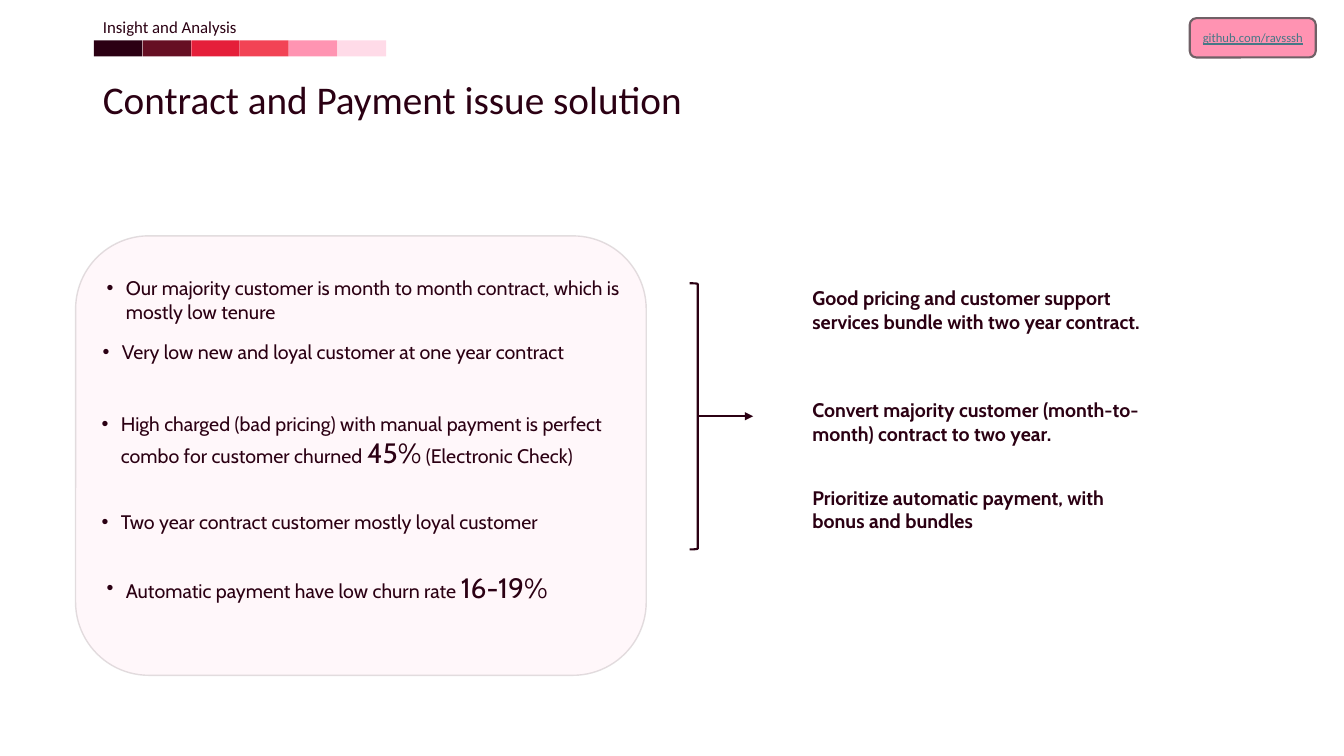
from lxml.etree import SubElement
from pptx import Presentation
from pptx.dml.color import RGBColor
from pptx.enum.shapes import MSO_CONNECTOR, MSO_SHAPE
from pptx.enum.text import MSO_ANCHOR, MSO_AUTO_SIZE, PP_ALIGN
from pptx.oxml.ns import qn
from pptx.util import Inches, Pt

COLORS = {
    "ink": "2B0013",
    "wine": "660F23",
    "red": "E51F3A",
    "coral": "F24355",
    "pink": "FF94B2",
    "blush": "FFDBE8",
    "badge": "FF93B2",
    "gray": "706066",
    "address": "467886",
}


def add_text(paragraph, text, color="ink", **formats):
    run = paragraph.add_run()
    run.text = text
    for attribute, value in formats.items():
        setattr(run.font, attribute, value)
    run.font.color.rgb = RGBColor.from_string(COLORS[color])


def add_block(kind, place, fill=None, line=None, width=1):
    block = slide.shapes.add_shape(kind, *map(Inches, place))
    block.shadow.inherit = False
    if fill:
        block.fill.solid()
        block.fill.fore_color.rgb = RGBColor.from_string(COLORS[fill])
    else:
        block.fill.background()
    if line:
        block.line.color.rgb = RGBColor.from_string(COLORS[line])
        block.line.width = Pt(width)
    else:
        block.line.fill.background()
    return block


presentation = Presentation()
presentation.slide_width = Inches(13.33)
presentation.slide_height = Inches(7.5)
slide = presentation.slides.add_slide(presentation.slide_layouts[1])

title, section = slide.placeholders
headings = [
    (title, (0.92, 0.56, 10.7, 0.89), MSO_ANCHOR.MIDDLE, 28, "Contract and Payment issue solution"),
    (section, (0.92, 0.14, 2.42, 0.24), MSO_ANCHOR.TOP, 12, "Insight and Analysis"),
]
for heading, place, anchor, size, text in headings:
    heading.left, heading.top, heading.width, heading.height = map(Inches, place)
    frame_formats = {"auto_size": MSO_AUTO_SIZE.NONE, "vertical_anchor": anchor, "word_wrap": True}
    for attribute, value in frame_formats.items():
        setattr(heading.text_frame, attribute, value)
    paragraph = heading.text_frame.paragraphs[0]
    paragraph_formats = {"alignment": PP_ALIGN.LEFT, "line_spacing": 0.9, "space_before": Pt(0)}
    for attribute, value in paragraph_formats.items():
        setattr(paragraph, attribute, value)
    properties = paragraph._p.get_or_add_pPr()
    properties.set("marL", "0")
    properties.set("indent", "0")
    SubElement(properties, qn("a:buNone"))
    add_text(paragraph, text, size=Pt(size), name="Calibri")

badge = add_block(MSO_SHAPE.ROUNDED_RECTANGLE, (11.8, 0.18, 1.25, 0.39), "badge", "gray", 1.5)
badge.text_frame.vertical_anchor = MSO_ANCHOR.MIDDLE
address = badge.text_frame.paragraphs[0]
address.alignment = PP_ALIGN.CENTER
add_text(address, "github.com/ravsssh", "address", size=Pt(9), name="Calibri", underline=True)

for position, swatch in enumerate(["ink", "wine", "red", "coral", "pink", "blush"]):
    add_block(MSO_SHAPE.RECTANGLE, (0.93 + position * 0.484, 0.4, 0.48, 0.16), swatch)

findings_panel = add_block(MSO_SHAPE.ROUNDED_RECTANGLE, (0.75, 2.34, 5.66, 4.36), "blush", "gray")
for panel_color in findings_panel.element.spPr.iter(qn("a:srgbClr")):
    SubElement(panel_color, qn("a:alpha"), val="20000")

findings = [
    ((0.96, 2.69, 5.31, 0.57),
     [("Our majority customer is month to month contract, which is mostly low tenure", 14)]),
    ((0.92, 3.32, 5.5, 0.34), [("Very low new and loyal customer at one year contract", 14)]),
    ((0.91, 4.04, 5.5, 0.67),
     [("High charged (bad pricing) with manual payment is perfect combo for customer churned ", 14),
      ("45%", 20), (" (Electronic Check)", 14)]),
    ((0.91, 5.01, 5.5, 0.34), [("Two year contract customer mostly loyal customer", 14)]),
    ((0.96, 5.61, 5.5, 0.44), [("Automatic payment have low churn rate ", 14), ("16-19%", 20)]),
]
solutions = [
    ((7.96, 2.79, 3.47, 0.57),
     [("Good pricing and customer support services bundle with two year contract.", 14)]),
    ((7.96, 3.9, 3.6, 0.57),
     [("Convert majority customer (month-to-month) contract to two year.", 14)]),
    ((7.96, 4.77, 3.6, 0.57), [("Prioritize automatic payment, with bonus and bundles", 14)]),
]
for statements, is_solution in [(findings, False), (solutions, True)]:
    for place, parts in statements:
        statement = slide.shapes.add_textbox(*map(Inches, place)).text_frame
        statement.word_wrap = True
        statement.auto_size = MSO_AUTO_SIZE.SHAPE_TO_FIT_TEXT
        paragraph = statement.paragraphs[0]
        if not is_solution:
            properties = paragraph._p.get_or_add_pPr()
            properties.set("marL", str(Inches(0.19)))
            properties.set("indent", str(Inches(-0.19)))
            SubElement(properties, qn("a:buFont"), typeface="Arial")
            SubElement(properties, qn("a:buChar"), char="•")
        for text, size in parts:
            add_text(paragraph, text, size=Pt(size), name="Cabin", bold=is_solution)

bracket = add_block(MSO_SHAPE.LEFT_BRACKET, (6.84, 2.81, 0.08, 2.64), line="ink", width=1.5)
bracket.rotation = 180

arrow = slide.shapes.add_connector(
    MSO_CONNECTOR.STRAIGHT, Inches(6.92), Inches(4.13), Inches(7.47), Inches(4.13))
arrow.line.color.rgb = RGBColor.from_string(COLORS["ink"])
arrow.line.width = Pt(1.5)
SubElement(arrow.element.spPr.find(qn("a:ln")), qn("a:tailEnd"), type="triangle")
SubElement(arrow.element.spPr, qn("a:effectLst"))

presentation.save("out.pptx")
